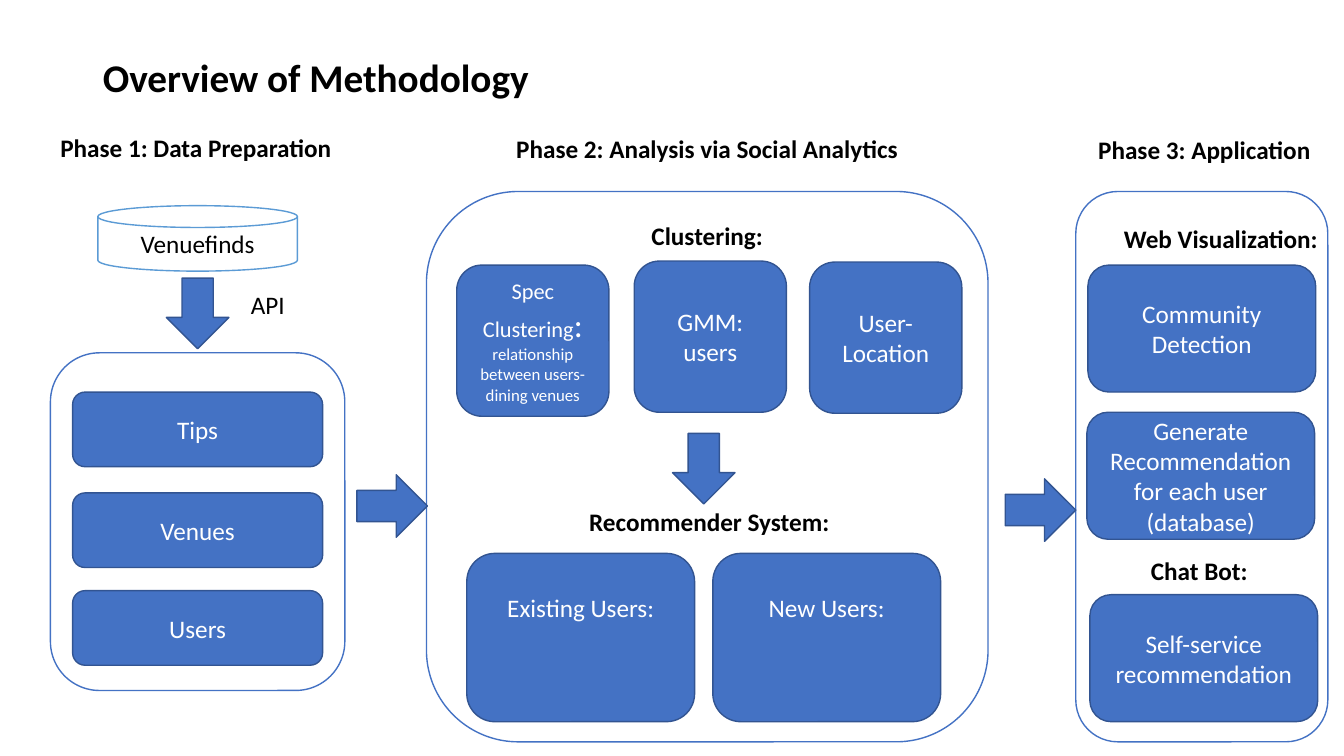
from pptx import Presentation
from pptx.dml.color import RGBColor
from pptx.enum.shapes import MSO_SHAPE
from pptx.enum.text import MSO_ANCHOR, MSO_AUTO_SIZE, PP_ALIGN
from pptx.util import Inches, Pt

ROUNDED = MSO_SHAPE.ROUNDED_RECTANGLE
CYLINDER = MSO_SHAPE.FLOWCHART_MAGNETIC_DISK
ARROW = MSO_SHAPE.RIGHT_ARROW
LEFT, CENTER, RIGHT = PP_ALIGN.LEFT, PP_ALIGN.CENTER, PP_ALIGN.RIGHT
TOP, MIDDLE = MSO_ANCHOR.TOP, MSO_ANCHOR.MIDDLE
NO_FIT, GROW = MSO_AUTO_SIZE.NONE, MSO_AUTO_SIZE.SHAPE_TO_FIT_TEXT

COLORS = {
    "blue": "4472C4",
    "edge": "325491",
    "sky": "5B9BD5",
    "white": "FFFFFF",
    "black": "000000",
}


class MethodologySlide:
    """Holds the style and the page being built."""

    font = "Calibri"
    size = 18

    def __init__(self, deck):
        self.page = deck.slides.add_slide(deck.slide_layouts[5])

    def color(self, name):
        return RGBColor.from_string(COLORS[name])

    def fill_text(self, frame, paragraphs, color, align=CENTER, bold=False,
                  **frame_format):
        """Each paragraph is a string or a list of (text, size) spans."""
        for name, value in {"word_wrap": True, **frame_format}.items():
            setattr(frame, name, value)
        for index, content in enumerate(paragraphs):
            para = frame.paragraphs[0] if index == 0 else frame.add_paragraph()
            para.alignment = align
            spans = [(content, self.size)] if isinstance(content, str) else content
            for text, size in spans:
                span = para.add_run()
                span.text = text
                font_format = {"name": self.font, "size": Pt(size), "bold": bold}
                for name, value in font_format.items():
                    setattr(span.font, name, value)
                span.font.color.rgb = self.color(color)

    def title(self, text, left, top, width, height):
        box = self.page.shapes.title
        place = {"left": left, "top": top, "width": width, "height": height}
        for name, value in place.items():
            setattr(box, name, Inches(value))
        self.fill_text(box.text_frame, [[(text, 28)]], "black", LEFT, True,
                       vertical_anchor=MIDDLE, auto_size=NO_FIT)
        box.text_frame.paragraphs[0].line_spacing = 0.9

    def label(self, text, left, top, width, align=CENTER, bold=True):
        box = self.page.shapes.add_textbox(
            Inches(left), Inches(top), Inches(width), Inches(0.4))
        self.fill_text(box.text_frame, [text], "black", align, bold, auto_size=GROW)

    def shape(self, kind, left, top, width, height, fill="blue", line="edge"):
        box = self.page.shapes.add_shape(
            kind, Inches(left), Inches(top), Inches(width), Inches(height))
        box.shadow.inherit = False
        box.fill.solid()
        box.fill.fore_color.rgb = self.color(fill)
        box.line.color.rgb = self.color(line)
        box.line.width = Pt(1)
        return box

    def panel(self, left, top, width, height):
        self.shape(ROUNDED, left, top, width, height, "white", "blue")

    def card(self, paragraphs, left, top, width, height, **frame_format):
        box = self.shape(ROUNDED, left, top, width, height)
        self.fill_text(box.text_frame, paragraphs, "white",
                       **{"vertical_anchor": MIDDLE, **frame_format})

    def source(self, text, left, top, width, height):
        box = self.shape(CYLINDER, left, top, width, height, "white", "sky")
        self.fill_text(box.text_frame, [text], "black", vertical_anchor=MIDDLE)

    def arrow(self, left, top, rotation=0):
        self.shape(ARROW, left, top, 0.7, 0.62).rotation = rotation


def main():
    deck = Presentation()
    deck.slide_width, deck.slide_height = Inches(13.33), Inches(7.5)
    slide = MethodologySlide(deck)
    slide.title("Overview of Methodology", 0.92, 0.4, 11.5, 0.78)

    # Phase 1: source and collected data
    slide.label("Phase 1: Data Preparation", 0.5, 1.26, 2.94, LEFT)
    slide.source("Venuefinds", 0.97, 2.04, 1.98, 0.65)
    slide.arrow(1.61, 2.8, 90)
    slide.label("API", 2.39, 2.82, 0.94, LEFT, bold=False)
    slide.panel(0.5, 3.5, 2.92, 3.35)
    for text, top in (("Tips", 3.89), ("Venues", 4.89), ("Users", 5.86)):
        slide.card([text], 0.72, top, 2.48, 0.74)

    # Phase 2: clustering above, recommender below
    slide.label("Phase 2: Analysis via Social Analytics", 4.23, 1.27, 5.57)
    slide.panel(4.23, 1.9, 5.57, 5.46)
    slide.label("Clustering:", 4.23, 2.14, 5.57)
    spectral = [("Spec Clustering", 16), (": ", 24),
                ("relationship between users-dining venues", 12)]
    for paragraphs, left, top in (
        ([spectral], 4.53, 2.63),
        (["GMM:", "users"], 6.29, 2.59),
        (["User-Location"], 8.03, 2.6),
    ):
        slide.card(paragraphs, left, top, 1.51, 1.5)
    slide.arrow(6.63, 4.34, 90)
    slide.label("Recommender System:", 4.23, 4.97, 5.61)
    for text, left in (("Existing Users:", 4.63), ("New Users:", 7.07)):
        slide.card([text], left, 5.49, 2.26, 1.67,
                   vertical_anchor=TOP, margin_top=Inches(0.3))

    # Phase 3: web pages and chat bot
    slide.label("Phase 3: Application", 10.55, 1.28, 2.79)
    slide.panel(10.67, 1.9, 2.5, 5.46)
    slide.label("Web Visualization:", 10.77, 2.17, 2.4, RIGHT)
    slide.label("Chat Bot:", 10.77, 5.46, 2.25)
    for text, left, top in (
        ("Community Detection", 10.79, 2.63),
        ("Generate Recommendation for each user (database)", 10.78, 4.09),
        ("Self-service recommendation", 10.81, 5.9),
    ):
        slide.card([text], left, top, 2.26, 1.26)

    # Arrows between the phases
    slide.arrow(3.54, 4.71)
    slide.arrow(9.97, 4.75)

    deck.save("out.pptx")


if __name__ == "__main__":
    main()
